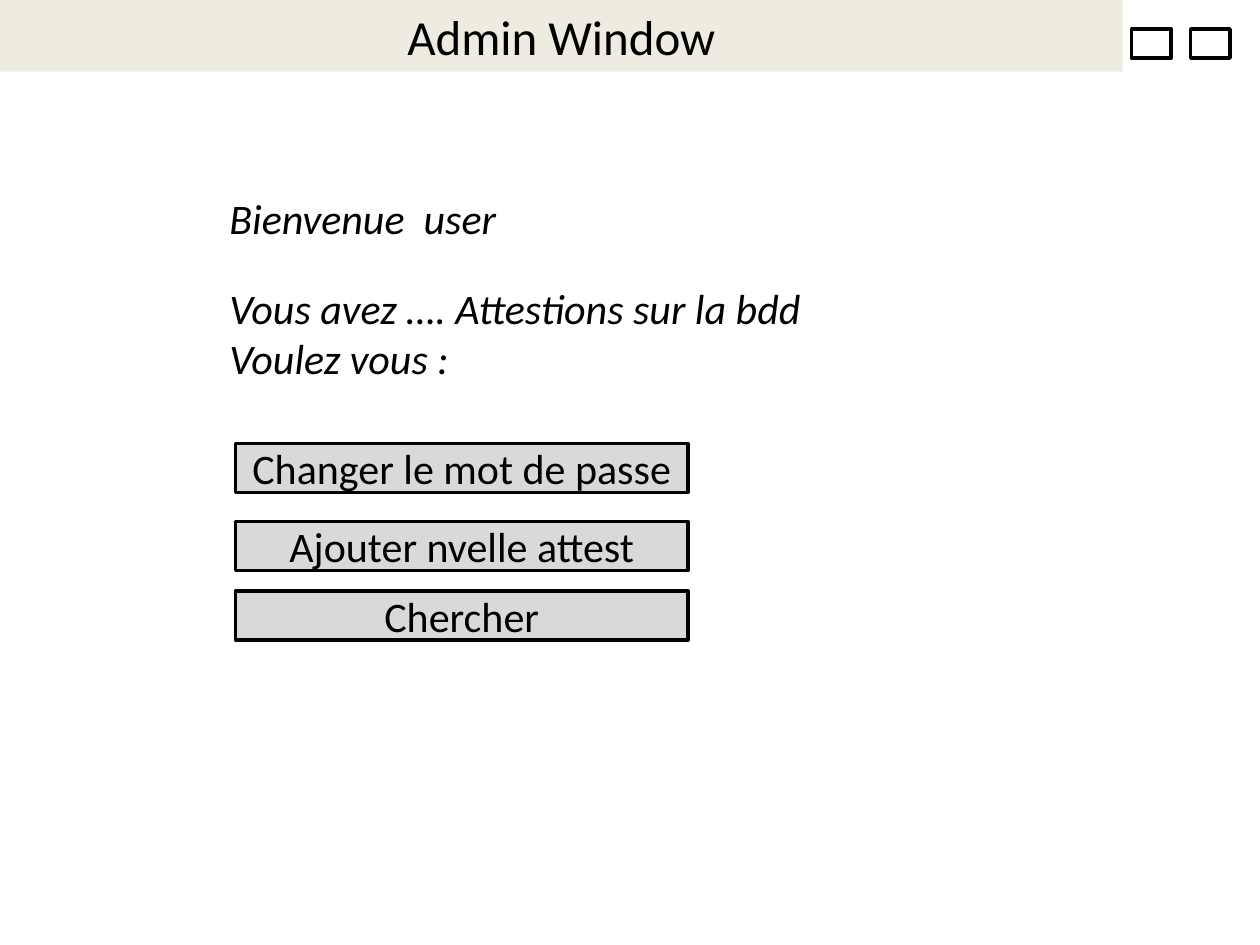
from pptx import Presentation
from pptx.dml.color import RGBColor as Rgb
from pptx.enum.shapes import MSO_SHAPE as Shape
from pptx.enum.text import MSO_ANCHOR as Anchor, MSO_AUTO_SIZE as Fit, PP_ALIGN as Align
from pptx.util import Pt

HUES = {"ink": "000000", "paper": "FFFFFF", "bar": "EEECE1", "button": "D9D9D9"}
FONT = "Calibri"


def hue(name):
    return Rgb.from_string(HUES[name])


def place(item, left, top, width, height):
    item.left, item.top = Pt(left), Pt(top)
    item.width, item.height = Pt(width), Pt(height)


def write(frame, lines, size, align, anchor=Anchor.TOP, italic=False):
    frame.text = "\n".join(lines)
    frame.word_wrap = True
    frame.auto_size = Fit.NONE
    frame.vertical_anchor = anchor
    for para in frame.paragraphs:
        para.alignment = align
        font = para.font
        font.name, font.size, font.italic = FONT, Pt(size), italic
        font.color.rgb = hue("ink")


def add_title(slide, text):
    title = slide.shapes.title
    place(title, 0, 0, 641.5, 41)
    title.fill.solid()
    title.fill.fore_color.rgb = hue("bar")
    write(title.text_frame, [text], 28, Align.CENTER)


def add_box(slide, left, top, width, height, fill):
    box = slide.shapes.add_shape(
        Shape.RECTANGLE, Pt(left), Pt(top), Pt(width), Pt(height))
    box.shadow.inherit = False
    box.fill.solid()
    box.fill.fore_color.rgb = hue(fill)
    box.line.color.rgb = hue("ink")
    box.line.width = Pt(2)
    return box


def add_button(slide, top, text):
    box = add_box(slide, 134.6, top, 258.5, 28, "button")
    write(box.text_frame, [text], 24, Align.CENTER, Anchor.MIDDLE)


def add_note(slide, top, width, height, lines):
    note = slide.shapes.add_textbox(Pt(124), Pt(top), Pt(width), Pt(height))
    write(note.text_frame, lines, 24, Align.LEFT, italic=True)


def main():
    deck = Presentation()
    deck.slide_width, deck.slide_height = Pt(720), Pt(540)
    slide = deck.slides.add_slide(deck.slide_layouts[5])

    # Title bar and window controls
    add_title(slide, "Admin Window")
    for left in (646.6, 680.4):
        add_box(slide, left, 16.6, 22.5, 16.6, "paper")

    # Greeting
    add_note(slide, 106.6, 196.6, 36, ["Bienvenue  user"])
    add_note(slide, 157.7, 422, 65.5,
             ["Vous avez …. Attestions sur la bdd", "Voulez vous :"])

    # Action buttons
    for top, text in ((253.4, "Changer le mot de passe"),
                      (298.1, "Ajouter nvelle attest"),
                      (337.7, "Chercher")):
        add_button(slide, top, text)

    deck.save("out.pptx")


main()
